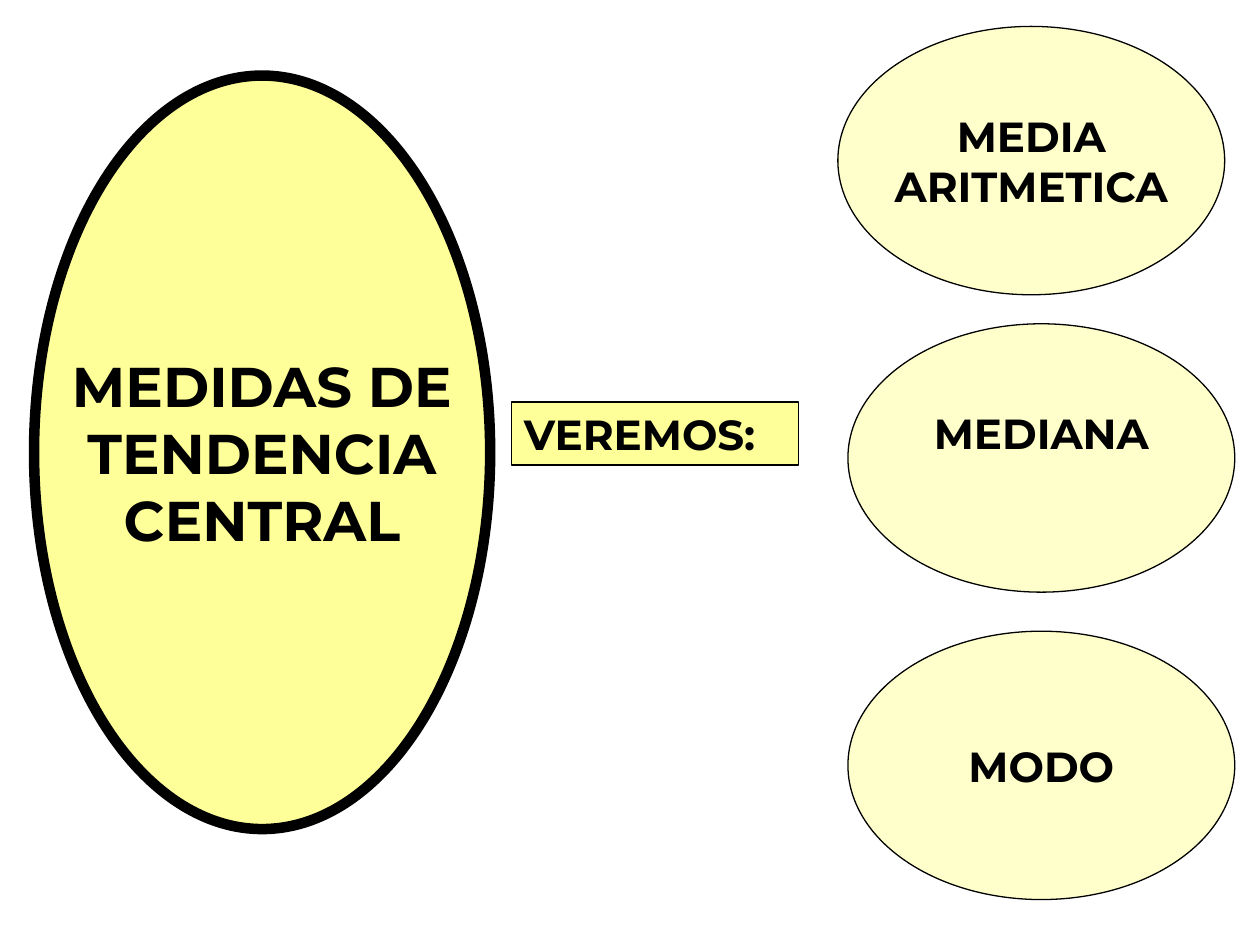
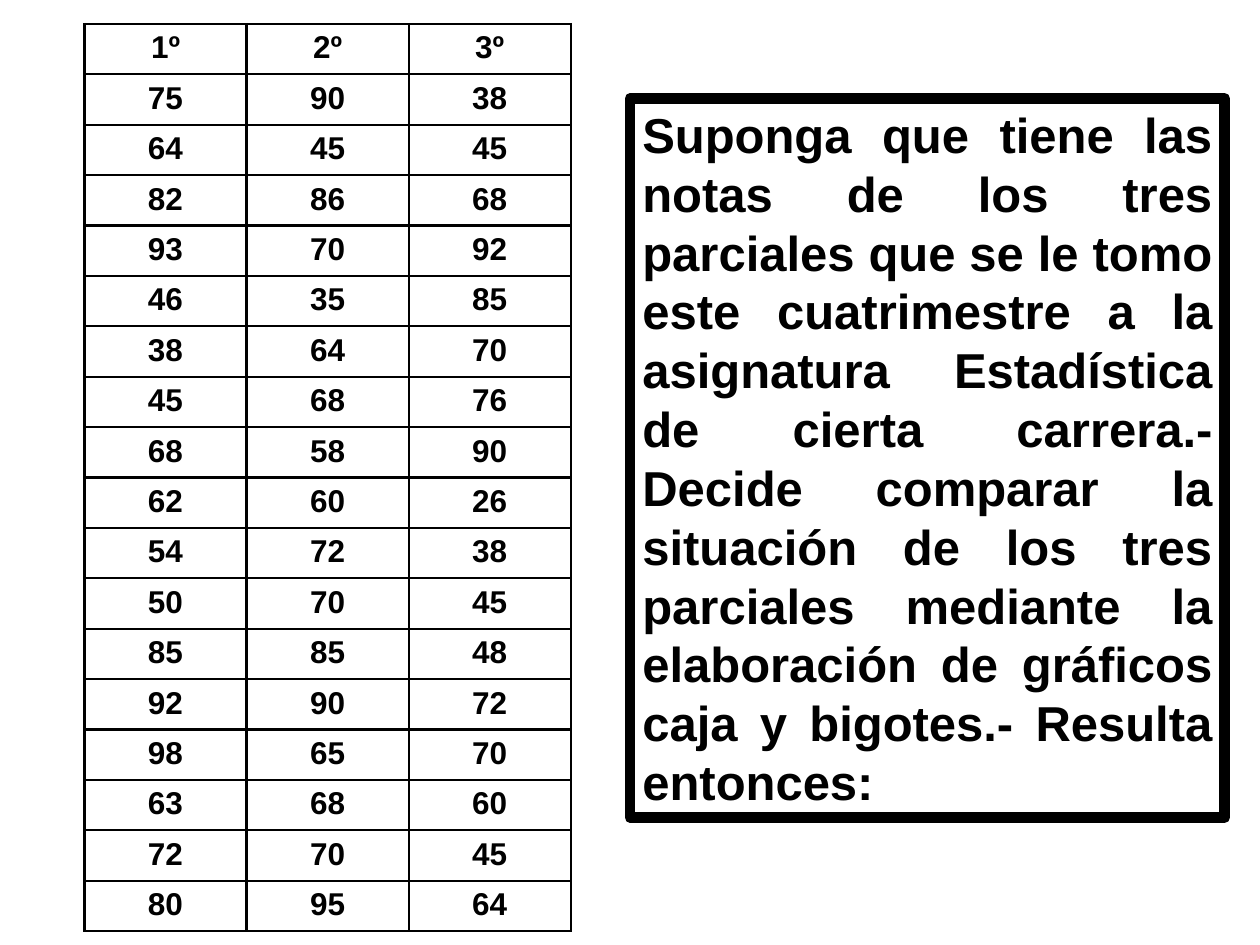
"""Build two slides on measures of central tendency and exam marks."""
import pptx
import pptx.dml.color
import pptx.enum.shapes
import pptx.enum.text
import pptx.oxml
import pptx.oxml.ns
import pptx.util

BLACK = pptx.dml.color.RGBColor(0x00, 0x00, 0x00)
YELLOW = pptx.dml.color.RGBColor(0xFF, 0xFF, 0x99)
CREAM = pptx.dml.color.RGBColor(0xFF, 0xFF, 0xCC)
ELLIPSE = pptx.enum.shapes.MSO_SHAPE.OVAL
RECTANGLE = pptx.enum.shapes.MSO_SHAPE.RECTANGLE
ALIGN = pptx.enum.text.PP_ALIGN
ANCHOR = pptx.enum.text.MSO_ANCHOR
COLUMNS, ROWS = 100, 75
THIN, THICK, CELL_BORDER = 0.75, 6, 1.47

MEASURES = [
    (66.5, 2.1, "MEDIA\nARITMETICA", 0.05),
    (67.3, 25.7, "MEDIANA", 0.45),
    (67.3, 50.1, "MODO", 0.05),
]
MARKS = [
    ("1º", "2º", "3º"),
    (75, 90, 38), (64, 45, 45), (82, 86, 68), (93, 70, 92), (46, 35, 85),
    (38, 64, 70), (45, 68, 76), (68, 58, 90), (62, 60, 26), (54, 72, 38),
    (50, 70, 45), (85, 85, 48), (92, 90, 72), (98, 65, 70), (63, 68, 60),
    (72, 70, 45), (80, 95, 64),
]
EXERCISE = (
    "Suponga que tiene las notas de los tres parciales que se le tomo este "
    "cuatrimestre a la asignatura Estadística de cierta carrera.- Decide "
    "comparar la situación de los tres parciales mediante la elaboración de "
    "gráficos caja y bigotes.- Resulta entonces:"
)


class Deck:
    """Hold the shared style and the slide being drawn."""

    def __init__(self):
        self.presentation = pptx.Presentation()
        self.presentation.slide_width = pptx.util.Inches(10)
        self.presentation.slide_height = pptx.util.Inches(7.5)
        self.slide = None

    def new_slide(self):
        """Start a blank slide."""
        layout = self.presentation.slide_layouts.get_by_name("Blank")
        self.slide = self.presentation.slides.add_slide(layout)

    def place(self, left, top, width, height):
        """Turn grid columns and rows into lengths."""
        column = self.presentation.slide_width / COLUMNS
        row = self.presentation.slide_height / ROWS
        return (round(left * column), round(top * row),
                round(width * column), round(height * row))

    def set_text(self, frame, text, font, size, align):
        """Fill a text frame with bold black paragraphs, one per line."""
        frame.text = text
        for paragraph in frame.paragraphs:
            paragraph.alignment = align
            paragraph.font.name = font
            paragraph.font.size = pptx.util.Pt(size)
            paragraph.font.bold = True
            paragraph.font.color.rgb = BLACK

    def box(self, kind, grid, text, size, fill=None, line=THIN, font="Montserrat",
            align=ALIGN.LEFT, bottom_inset=0.05):
        """Draw an outlined shape with its text."""
        shape = self.slide.shapes.add_shape(kind, *self.place(*grid))
        shape.shadow.inherit = False
        if fill is None:
            shape.fill.background()
        else:
            shape.fill.solid()
            shape.fill.fore_color.rgb = fill
        shape.line.color.rgb = BLACK
        shape.line.width = pptx.util.Pt(line)
        frame = shape.text_frame
        frame.word_wrap = kind == RECTANGLE
        frame.vertical_anchor = ANCHOR.TOP if kind == RECTANGLE else ANCHOR.MIDDLE
        frame.margin_bottom = pptx.util.Inches(bottom_inset)
        self.set_text(frame, text, font, size, align)

    def border(self, cell):
        """Draw a black line on the four sides of a table cell."""
        properties = cell._tc.get_or_add_tcPr()
        for side in "LRTB":
            properties.append(pptx.oxml.parse_xml(
                f'<a:ln{side} {pptx.oxml.ns.nsdecls("a")} '
                f'w="{int(pptx.util.Pt(CELL_BORDER))}"><a:solidFill>'
                f'<a:srgbClr val="{BLACK}"/></a:solidFill></a:ln{side}>'))

    def table(self, grid, values):
        """Draw a plain ruled table with equal columns and rows."""
        table = self.slide.shapes.add_table(
            len(values), len(values[0]), *self.place(*grid)).table
        table.first_row = table.horz_banding = False
        for row_index, row in enumerate(values):
            for column_index, value in enumerate(row):
                cell = table.cell(row_index, column_index)
                self.border(cell)
                cell.fill.background()
                self.set_text(cell.text_frame, str(value), "Arial", 18, ALIGN.CENTER)


def main():
    """Draw both slides and save them."""
    deck = Deck()
    deck.new_slide()
    deck.box(ELLIPSE, (2.7, 6, 36.2, 59.8), "MEDIDAS DE\nTENDENCIA\nCENTRAL", 32,
             fill=YELLOW, line=THICK, align=ALIGN.CENTER)
    deck.box(RECTANGLE, (40.6, 31.9, 22.8, 5), "VEREMOS:", 24, fill=YELLOW)
    for left, top, name, bottom_inset in MEASURES:
        deck.box(ELLIPSE, (left, top, 30.7, 21.3), name, 24, fill=CREAM,
                 align=ALIGN.CENTER, bottom_inset=bottom_inset)

    deck.new_slide()
    deck.box(RECTANGLE, (50, 7.8, 47.2, 57.1), EXERCISE, 28, line=THICK,
             font="Arial", align=ALIGN.JUSTIFY)
    deck.table((6.7, 1.9, 38.6, 72), MARKS)
    deck.presentation.save("out.pptx")


if __name__ == "__main__":
    main()
